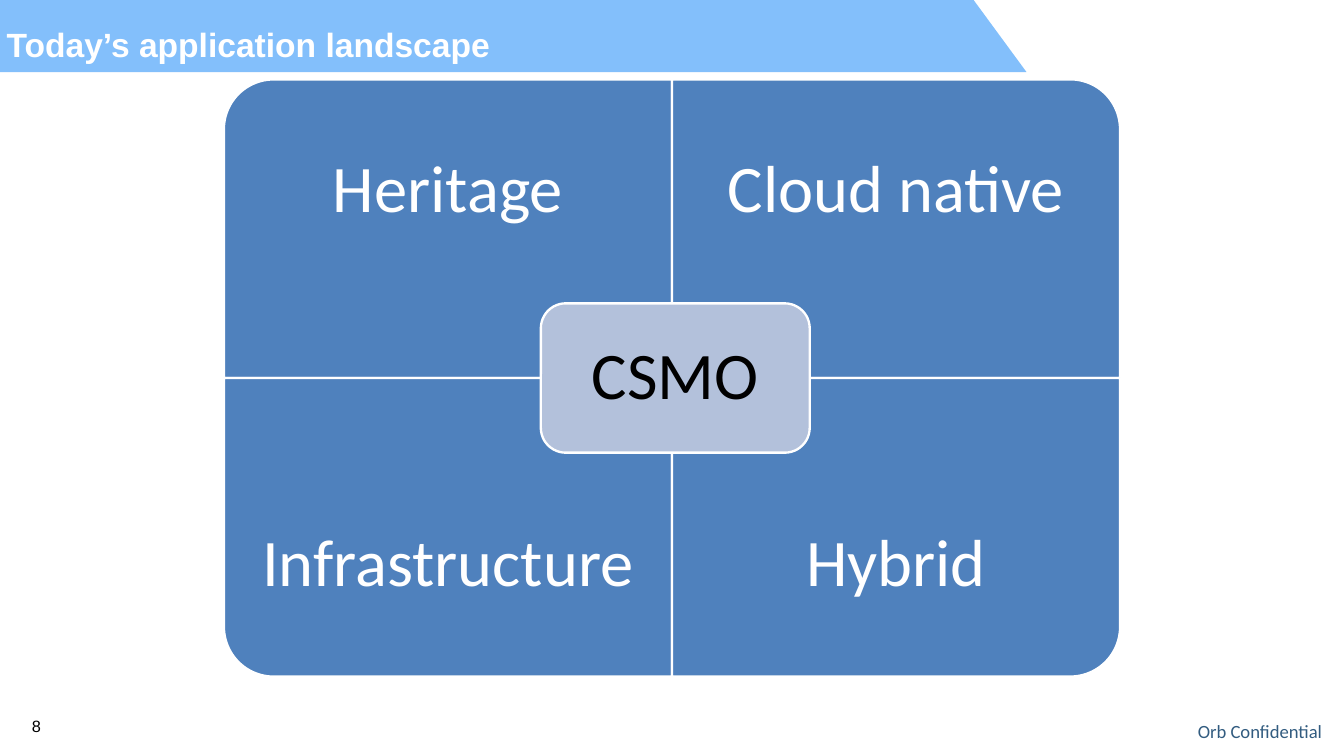
from pptx import Presentation
from pptx.dml.color import RGBColor
from pptx.enum.shapes import MSO_SHAPE
from pptx.enum.text import MSO_ANCHOR, MSO_AUTO_SIZE, PP_ALIGN
from pptx.oxml.ns import qn
from pptx.util import Cm, Pt
from lxml.etree import SubElement

HUES = {"white": "FFFFFF", "black": "000000", "band": "5AAAFA",
        "tile": "4F81BD", "hub": "B3C1DB", "note": "325C80"}
BIG = {"name": "Calibri", "size": Pt(57)}
HEAD = {"name": "Arial", "size": Pt(28.8), "bold": True}
PAGE = {"name": "Arial", "size": Pt(14)}
NOTE = {"name": "Calibri", "size": Pt(16)}


def color(key):
    return RGBColor.from_string(HUES[key])


def assign(item, looks):
    for name, value in looks.items():
        setattr(item, name, value)


def place(item, box):
    sides = ("left", "top", "width", "height")
    assign(item, {side: Cm(size) for side, size in zip(sides, box)})


def write(item, text, font, hue, align=PP_ALIGN.CENTER, inset=0.0, space=1.0):
    frame = item.text_frame
    frame.text = text
    pads = ("margin_left", "margin_top", "margin_right", "margin_bottom")
    assign(frame, {pad: Cm(inset) for pad in pads})
    assign(frame, {"word_wrap": True, "auto_size": MSO_AUTO_SIZE.NONE,
                   "vertical_anchor": MSO_ANCHOR.MIDDLE})
    para = frame.paragraphs[0]
    assign(para, {"alignment": align, "line_spacing": space})
    assign(para.font, font)
    para.font.color.rgb = color(hue)


def label(slide, box, *args, **looks):
    item = slide.shapes.add_textbox(*(Cm(size) for size in box))
    write(item, *args, **looks)


def block(slide, kind, box, hue):
    item = slide.shapes.add_shape(kind, *(Cm(size) for size in box))
    item.shadow.inherit = False
    item.fill.solid()
    item.fill.fore_color.rgb = color(hue)
    item.line.color.rgb = color("white")
    item.line.width = Pt(2)
    return item


# Slanted band with the title on it
def header(slide, box, text):
    left, top, wide, high = box
    slant = 1.6
    build = slide.shapes.build_freeform(Cm(left), Cm(top))
    build.add_line_segments([(Cm(left + wide - slant), Cm(top)),
                             (Cm(left + wide), Cm(top + high)),
                             (Cm(left), Cm(top + high))], close=True)
    band = build.convert_to_shape()
    band.shadow.inherit = False
    band.fill.solid()
    band.fill.fore_color.rgb = color("band")
    band.line.fill.background()
    tint = band.fill._xPr.find(qn("a:solidFill"))[0]
    SubElement(tint, qn("a:alpha")).set("val", "75000")

    title = slide.shapes.title
    place(title, (left, top + 0.41, 34.21, 1.83))
    write(title, text, HEAD, "white", PP_ALIGN.LEFT, inset=0.2)
    band._element.addnext(title._element)


# Four tiles, each with its outer corner rounded, around a hub
def matrix(slide, box, names, core):
    left, top, wide, high = box
    cell, row = wide / 2, high / 2
    turns = (270, 0, 180, 90)
    for spot, (name, turn) in enumerate(zip(names, turns)):
        down, across = divmod(spot, 2)
        x, y = left + across * cell, top + down * row
        w, h = (row, cell) if turn % 180 else (cell, row)
        tile = block(slide, MSO_SHAPE.ROUND_1_RECTANGLE,
                     (x + (cell - w) / 2, y + (row - h) / 2, w, h), "tile")
        tile.rotation = turn
        label(slide, (x, y + down * row / 4, cell, row * 0.75),
              name, BIG, "white", inset=0.5, space=0.9)

    w, h = cell * 0.6, row / 2
    hub = block(slide, MSO_SHAPE.ROUNDED_RECTANGLE,
                (left + (wide - w) / 2 + 0.1, top + (high - h) / 2, w, h), "hub")
    write(hub, core, BIG, "black", inset=0.6, space=0.9)


# Page number at left, notice at right
def footer(slide, box, page, note):
    left, top, wide, high = box
    label(slide, (left, top, 1.2, high), page, PAGE, "black")
    label(slide, (left + wide - 11.2, top + 0.26, 11.2, 0.69),
          note, NOTE, "note", PP_ALIGN.RIGHT)


def main():
    deck = Presentation()
    deck.slide_width, deck.slide_height = Cm(40.64), Cm(22.86)
    slide = deck.slides.add_slide(deck.slide_layouts[5])
    header(slide, (0, 0, 31.04, 2.18), "Today’s application landscape")
    matrix(slide, (6.77, 2.4, 27.1, 18.06),
           ("Heritage", "Cloud native", "Infrastructure", "Hybrid"), "CSMO")
    footer(slide, (0.5, 21.49, 39.48, 0.94), "8", "Orb Confidential")
    deck.save("out.pptx")


if __name__ == "__main__":
    main()
